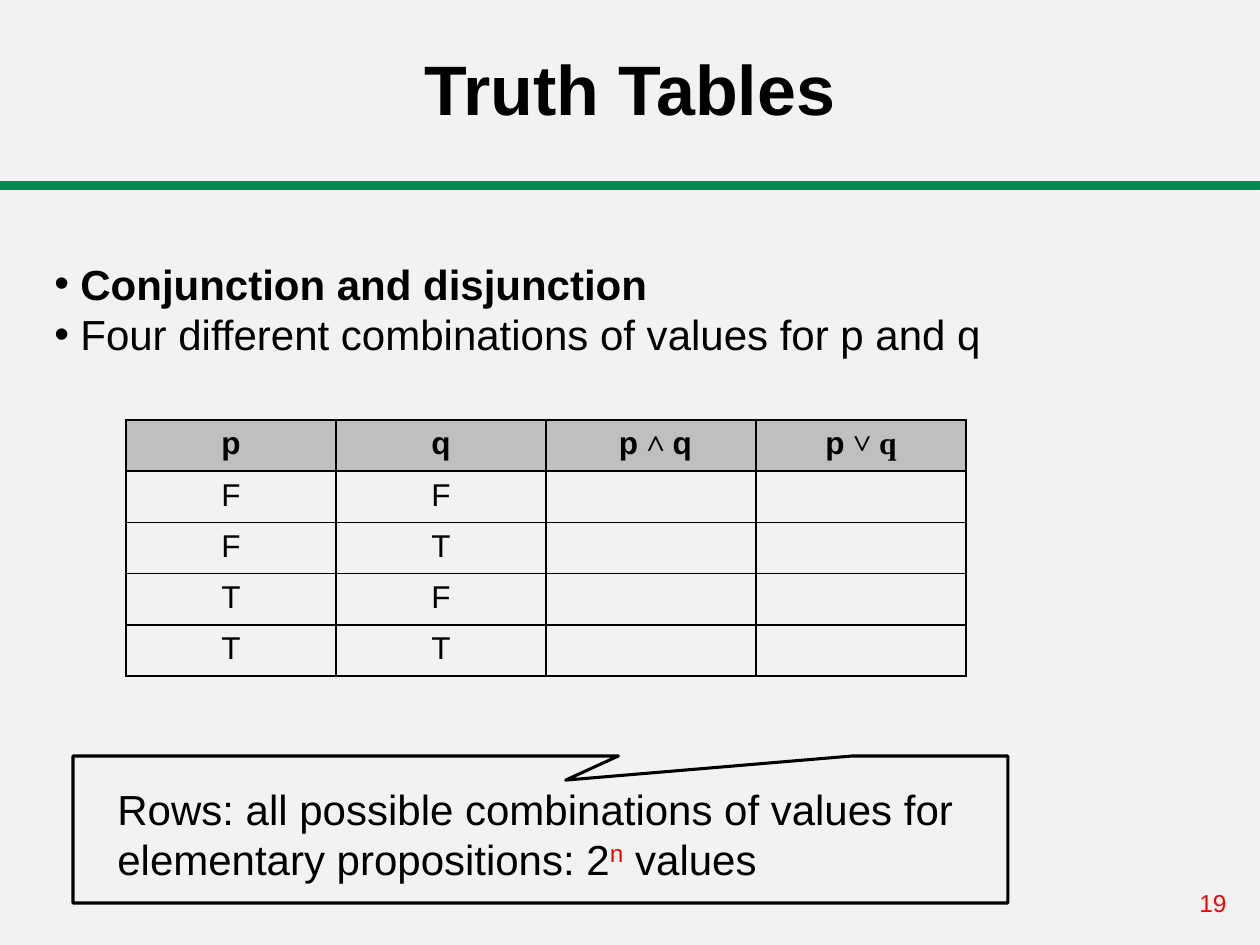
import dataclasses

import lxml.etree
import pptx
import pptx.dml.color
import pptx.enum.shapes
import pptx.enum.text
import pptx.oxml.ns
import pptx.util


@dataclasses.dataclass(frozen=True)
class Theme:
    background: str = "F2F2F2"
    ink: str = "000000"
    accent: str = "FF0000"
    rule: str = "018952"
    header: str = "BFBFBF"
    face: str = "Arial"
    symbol_face: str = "Times New Roman"
    title_size: int = 40
    body_size: int = 24
    table_size: int = 18
    number_size: int = 14
    outline: float = 1.75
    border: int = 1


THEME = Theme()
EMU_PER_PX = 914400 / 126
ALIGN = pptx.enum.text.PP_ALIGN
SHAPE = pptx.enum.shapes.MSO_SHAPE


def px(length):
    return pptx.util.Emu(round(length * EMU_PER_PX))


def color(value):
    return pptx.dml.color.RGBColor.from_string(value)


def add_element(parent, tag, **attributes):
    element = lxml.etree.SubElement(parent, pptx.oxml.ns.qn(tag))
    for name, value in attributes.items():
        element.set(name, str(value))
    return element


def add_span(para, text, size, bold=False, ink=THEME.ink, face=THEME.face):
    span = para.add_run()
    span.text = text
    span.font.name = face
    span.font.size = pptx.util.Pt(size)
    span.font.bold = bold
    span.font.color.rgb = color(ink)
    return span


def add_text_box(page, box):
    frame = page.shapes.add_textbox(*map(px, box)).text_frame
    frame.word_wrap = True
    return frame


def add_outlined_shape(page, kind, box, line):
    shape = page.shapes.add_shape(kind, *map(px, box))
    shape.shadow.inherit = False
    shape.fill.background()
    shape.line.color.rgb = color(line)
    shape.line.width = pptx.util.Pt(THEME.outline)
    return shape


def place_heading(page, box):
    left, top, width, height = box
    rule = add_outlined_shape(page, SHAPE.RECTANGLE, (left, top + 183, width, 6), THEME.rule)
    rule.fill.solid()
    rule.fill.fore_color.rgb = color(THEME.rule)
    title = page.shapes.title
    title.left, title.top, title.width, title.height = map(px, box)
    frame = title.text_frame
    frame.auto_size = pptx.enum.text.MSO_AUTO_SIZE.NONE
    frame.vertical_anchor = pptx.enum.text.MSO_ANCHOR.BOTTOM
    para = frame.paragraphs[0]
    para.alignment = ALIGN.CENTER
    add_span(para, "Truth Tables", THEME.title_size, bold=True)


def place_bullets(page, box):
    frame = add_text_box(page, box)
    items = [
        ("Conjunction and disjunction", True),
        ("Four different combinations of values for p and q", False),
    ]
    for index, (text, bold) in enumerate(items):
        para = frame.add_paragraph() if index else frame.paragraphs[0]
        properties = para._p.get_or_add_pPr()
        properties.set("marL", str(px(26)))
        properties.set("indent", str(-px(26)))
        bullet_color = add_element(properties, "a:buClr")
        add_element(bullet_color, "a:srgbClr", val=THEME.ink)
        add_element(properties, "a:buFont", typeface=THEME.face)
        add_element(properties, "a:buChar", char="•")
        add_span(para, text, THEME.body_size, bold)


def format_cell(cell, fill):
    properties = cell._tc.get_or_add_tcPr()
    for side in ("a:lnL", "a:lnR", "a:lnT", "a:lnB"):
        line = add_element(properties, side, w=pptx.util.Pt(THEME.border))
        add_element(add_element(line, "a:solidFill"), "a:srgbClr", val=THEME.ink)
    if fill:
        cell.fill.solid()
        cell.fill.fore_color.rgb = color(fill)
    else:
        cell.fill.background()


def place_truth_table(page, box):
    arial, times = THEME.face, THEME.symbol_face
    header = [
        [("p", arial)],
        [("q", arial)],
        [(" p ", arial), ("˄ ", times), ("q", arial)],
        [("p ", arial), ("˅ q", times)],
    ]
    values = [[[(p, arial)], [(q, arial)], [], []] for p in "FT" for q in "FT"]
    rows = [header] + values
    table = page.shapes.add_table(len(rows), len(header), *map(px, box)).table
    table.horz_banding = False
    for row_index, row in enumerate(rows):
        table.rows[row_index].height = px(box[3] / len(rows))
        is_header = row_index == 0
        for column_index, spans in enumerate(row):
            cell = table.cell(row_index, column_index)
            format_cell(cell, THEME.header if is_header else None)
            para = cell.text_frame.paragraphs[0]
            para.alignment = ALIGN.CENTER
            for text, face in spans:
                add_span(para, text, THEME.table_size, is_header, face=face)


def place_callout(page, box):
    left, top, width, height = box
    callout = add_outlined_shape(page, SHAPE.ROUNDED_RECTANGULAR_CALLOUT, box, THEME.ink)
    callout.rotation = 180
    callout._element.spPr.find(pptx.oxml.ns.qn("a:xfrm")).set("flipH", "1")
    for index, value in enumerate((0.027, 0.336, 0)):
        callout.adjustments[index] = value
    frame = add_text_box(page, (left + 32, top + 21, width - 63, height - 33))
    para = frame.paragraphs[0]
    message = "Rows: all possible combinations of values for elementary propositions: 2"
    add_span(para, message, THEME.body_size)
    exponent = add_span(para, "n", THEME.body_size, ink=THEME.accent)
    exponent._r.get_or_add_rPr().set("baseline", "30000")
    add_span(para, " values", THEME.body_size)


def place_page_number(page, box):
    frame = add_text_box(page, box)
    add_span(frame.paragraphs[0], "19", THEME.number_size, ink=THEME.accent)


def main():
    deck = pptx.Presentation()
    deck.slide_width, deck.slide_height = px(1260), px(945)
    page = deck.slides.add_slide(deck.slide_layouts[5])
    page.background.fill.solid()
    page.background.fill.fore_color.rgb = color(THEME.background)
    place_heading(page, (0, 0, 1260, 136))
    place_page_number(page, (1187, 882, 73, 43))
    place_bullets(page, (42, 252, 1176, 217))
    place_truth_table(page, (126, 420, 840, 256))
    place_callout(page, (73, 756, 935, 147))
    deck.save("out.pptx")


if __name__ == "__main__":
    main()
